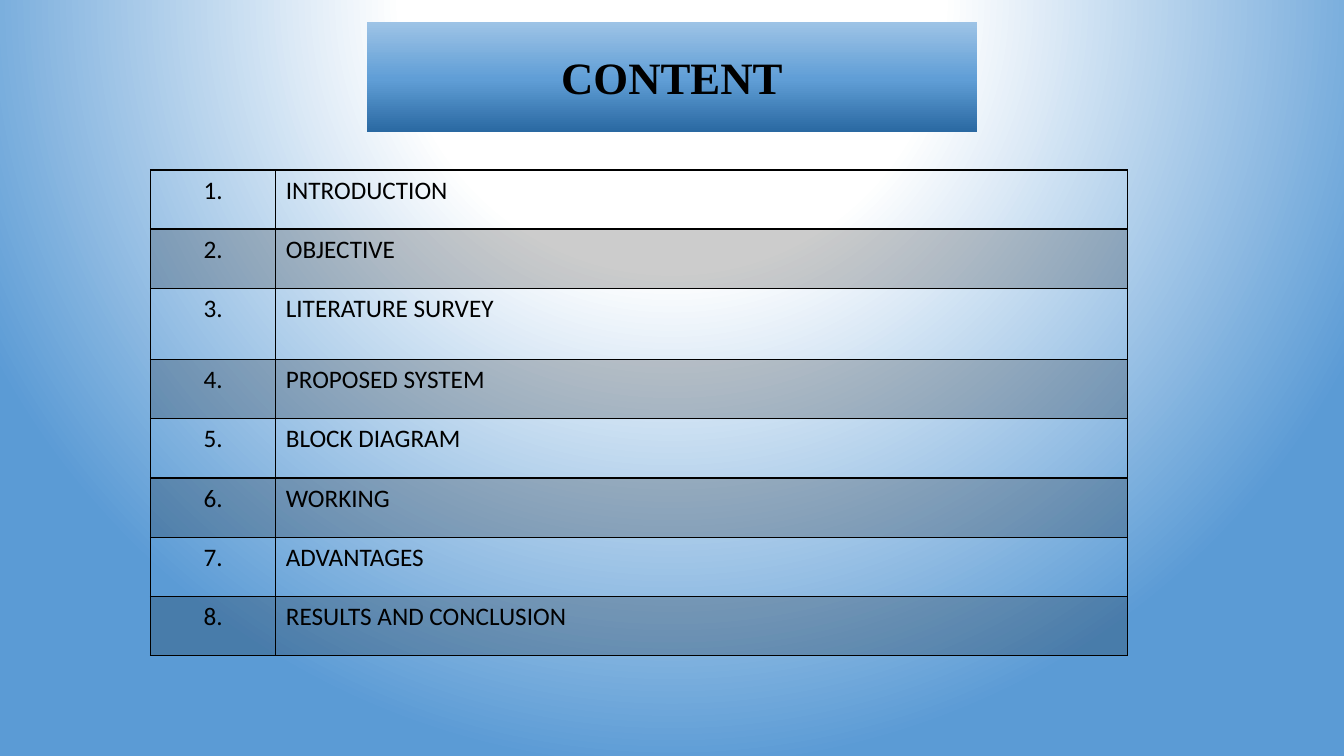
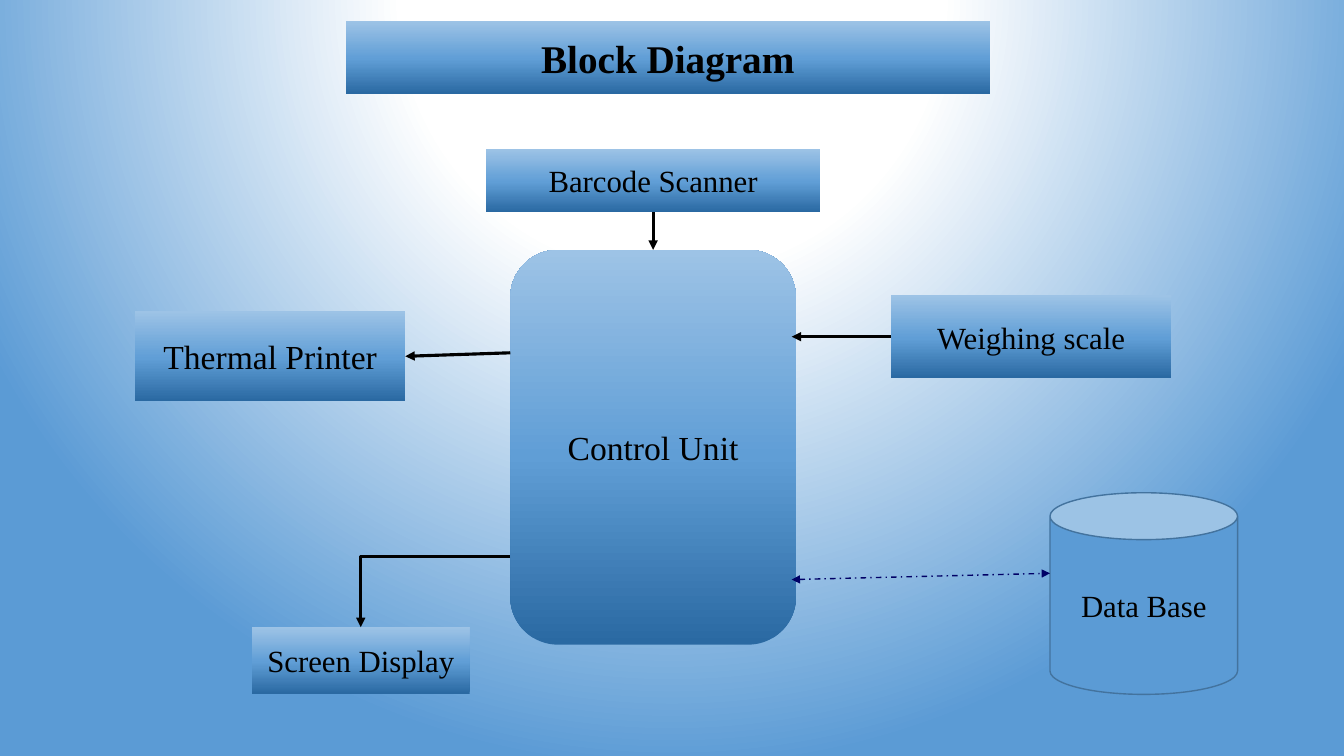
import pptx
import pptx.dml.color
import pptx.enum.dml
import pptx.enum.shapes
import pptx.enum.text
import pptx.oxml.ns
import pptx.util
import lxml.etree

Pt = pptx.util.Pt
RGB = pptx.dml.color.RGBColor
qn = pptx.oxml.ns.qn
MSO = pptx.enum.shapes.MSO_SHAPE
CONN = pptx.enum.shapes.MSO_CONNECTOR
ALIGN = pptx.enum.text.PP_ALIGN
ANCHOR = pptx.enum.text.MSO_ANCHOR

# Colours
BLACK = RGB(0x00, 0x00, 0x00)
WHITE = RGB(0xFF, 0xFF, 0xFF)
BLUE = RGB(0x5B, 0x9B, 0xD5)
CAN_EDGE = RGB(0x43, 0x73, 0x9E)
NAVY = RGB(0x00, 0x00, 0x66)
PAGE_STOPS = [(0, WHITE), (35, WHITE), (100, BLUE)]
BOX_STOPS = [(0, RGB(0x2A, 0x69, 0xA2)), (48, RGB(0x60, 0x9E, 0xD6)),
             (100, RGB(0x9D, 0xC3, 0xE6))]

SERIF = "Times New Roman"
SANS = "Calibri"
NO_STYLE = "{2D5ABB26-0587-4C30-8999-92F81FD0307C}"
TOP, LEFT, BOTTOM, RIGHT = range(4)


def sub(parent, tag, **attrs):
    """Append an XML child such as a:ln with its attributes."""
    el = lxml.etree.SubElement(parent, qn(tag))
    for name, value in attrs.items():
        el.set(name, str(value))
    return el


def fill_stops(grad, stops):
    """Empty a gradFill element and give it new colour stops."""
    for child in list(grad):
        grad.remove(child)
    gs_lst = sub(grad, "a:gsLst")
    for pos, color in stops:
        sub(sub(gs_lst, "a:gs", pos=pos * 1000), "a:srgbClr", val=color)


class Deck:
    """Holds the style of the deck and the slide being built."""

    def __init__(self):
        self.prs = pptx.Presentation()
        self.prs.slide_width, self.prs.slide_height = Pt(960), Pt(540)
        self.slide = None
        self.page_background()

    def page_background(self):
        master = self.prs.slide_master
        master.background.fill.gradient()
        grad = master.element.find(".//" + qn("a:gradFill"))
        fill_stops(grad, PAGE_STOPS)
        circle = sub(grad, "a:path", path="circle")
        sub(circle, "a:fillToRect", l=50000, t=-80000, r=50000, b=180000)

    def new_slide(self, title, box, size):
        self.slide = self.prs.slides.add_slide(self.prs.slide_layouts[5])
        sp = self.slide.shapes.title
        for name, value in zip(("left", "top", "width", "height"), box):
            setattr(sp, name, Pt(value))
        geom = sub(sp._element.spPr, "a:prstGeom", prst="roundRect")
        sub(geom, "a:avLst")
        self.gloss(sp)
        self.text(sp.text_frame, title, size, bold=True)

    def gloss(self, sp):
        """Blue gradient from dark at the bottom to light at the top."""
        sp.fill.gradient()
        grad = sp._element.spPr.find(qn("a:gradFill"))
        fill_stops(grad, BOX_STOPS)
        sub(grad, "a:lin", ang=270 * 60000, scaled=0)
        sp.line.fill.background()
        sp.shadow.inherit = False

    def text(self, tf, text, size, bold=False, font=SERIF,
             align=ALIGN.CENTER, anchor=ANCHOR.MIDDLE):
        tf.word_wrap = True
        tf.auto_size = pptx.enum.text.MSO_AUTO_SIZE.NONE
        tf.vertical_anchor = anchor
        p = tf.paragraphs[0]
        p.alignment = align
        self.run(p, text, size, bold, font)

    def run(self, p, text, size, bold, font):
        r = p.add_run()
        r.text = text
        for name, value in dict(name=font, size=Pt(size), bold=bold).items():
            setattr(r.font, name, value)
        r.font.color.rgb = BLACK

    def shape(self, kind, text, box, size):
        sp = self.slide.shapes.add_shape(kind, *map(Pt, box))
        self.gloss(sp)
        self.text(sp.text_frame, text, size)
        return sp

    def can(self, text, box, size):
        sp = self.shape(MSO.CAN, text, box, size)
        sp.fill.solid()
        sp.fill.fore_color.rgb = BLUE
        sp.line.color.rgb = CAN_EDGE
        sp.line.width = Pt(1)

    def arrow(self, start, end, kind=CONN.STRAIGHT, color=BLACK, width=2.25,
              dash=None, ends=("tailEnd",)):
        """Each end is a point, or a shape with the side to join."""
        joined = [hasattr(place[0], "shape_id") for place in (start, end)]
        points = [(0, 0) if join else place
                  for join, place in zip(joined, (start, end))]
        cx = self.slide.shapes.add_connector(
            kind, *(Pt(v) for point in points for v in point))
        if joined[0]:
            cx.begin_connect(*start)
        if joined[1]:
            cx.end_connect(*end)
        cx.line.color.rgb = color
        cx.line.width = Pt(width)
        if dash:
            cx.line.dash_style = dash
        spPr = cx._element.spPr
        for name in ends:
            sub(spPr.find(qn("a:ln")), "a:" + name, type="triangle")
        sub(spPr, "a:effectLst")
        return cx

    def corner_arrow(self, start, end):
        """One bend: across first, then down."""
        cx = self.arrow(start, end, CONN.ELBOW)
        cx._element.spPr.find(qn("a:prstGeom")).set("prst", "bentConnector2")

    def table(self, items, left, top, widths, heights):
        frame = self.slide.shapes.add_table(
            len(items), len(widths), Pt(left), Pt(top),
            Pt(sum(widths)), Pt(sum(heights)))
        tbl = frame.table
        tbl.first_row = tbl.horz_banding = False
        frame._element.find(".//" + qn("a:tableStyleId")).text = NO_STYLE
        for col, width in zip(tbl.columns, widths):
            col.width = Pt(width)
        for i, item in enumerate(items):
            tbl.rows[i].height = Pt(heights[i])
            cells = ((f"{i + 1}.", ALIGN.CENTER), (item, ALIGN.LEFT))
            for cell, (text, align) in zip(tbl.rows[i].cells, cells):
                p = cell.text_frame.paragraphs[0]
                p.alignment = align
                self.run(p, text, 18, False, SANS)
                self.cell_format(cell, shaded=i % 2 == 1,
                                 bottom=2 if i == 0 else 1)

    def cell_format(self, cell, shaded, bottom):
        tcPr = cell._tc.get_or_add_tcPr()
        for tag, width in (("a:lnL", 1), ("a:lnR", 1),
                           ("a:lnT", 1), ("a:lnB", bottom)):
            ln = sub(tcPr, tag, w=Pt(width))
            sub(sub(ln, "a:solidFill"), "a:srgbClr", val=BLACK)
        if shaded:
            cell.fill.solid()
            cell.fill.fore_color.rgb = BLACK
            sub(tcPr.find(qn("a:solidFill"))[0], "a:alpha", val=20000)
        else:
            cell.fill.background()


def content_slide(deck):
    deck.new_slide("CONTENT", (262, 16, 436, 78), 32)
    items = ["INTRODUCTION", "OBJECTIVE", "LITERATURE SURVEY",
             "PROPOSED SYSTEM", "BLOCK DIAGRAM", "WORKING", "ADVANTAGES",
             "RESULTS AND CONCLUSION"]
    heights = [42.25] * len(items)
    heights[2] = 51
    deck.table(items, 107.5, 121.5, (89.5, 608.5), heights)


def block_diagram_slide(deck):
    deck.new_slide("Block Diagram", (247, 15, 460, 52), 28)

    # Blocks
    control = deck.shape(MSO.ROUNDED_RECTANGLE, "Control Unit",
                         (364.5, 178.5, 204, 282), 24)
    scanner = deck.shape(MSO.RECTANGLE, "Barcode Scanner",
                         (347, 106.5, 239, 45), 22)
    printer = deck.shape(MSO.RECTANGLE, "Thermal Printer",
                         (96.5, 222.5, 193, 64), 24)
    scale = deck.shape(MSO.RECTANGLE, "Weighing scale",
                       (636.5, 211, 200, 59), 22)
    screen = deck.shape(MSO.RECTANGLE, "Screen Display",
                        (180, 448, 155.5, 47.5), 22)
    deck.can("Data Base", (750, 352, 134, 144), 22)

    # Arrows
    deck.arrow((364.5, 252), (printer, RIGHT))
    deck.arrow((scanner, BOTTOM), (control, TOP))
    deck.arrow((scale, LEFT), (565.5, 240.5))
    deck.corner_arrow((364.5, 397.5), (screen, TOP))
    deck.arrow((565.5, 414), (750, 409.5), color=NAVY, width=1,
               dash=pptx.enum.dml.MSO_LINE.DASH_DOT,
               ends=("headEnd", "tailEnd"))


def main():
    deck = Deck()
    content_slide(deck)
    block_diagram_slide(deck)
    deck.prs.save("out.pptx")


if __name__ == "__main__":
    main()
